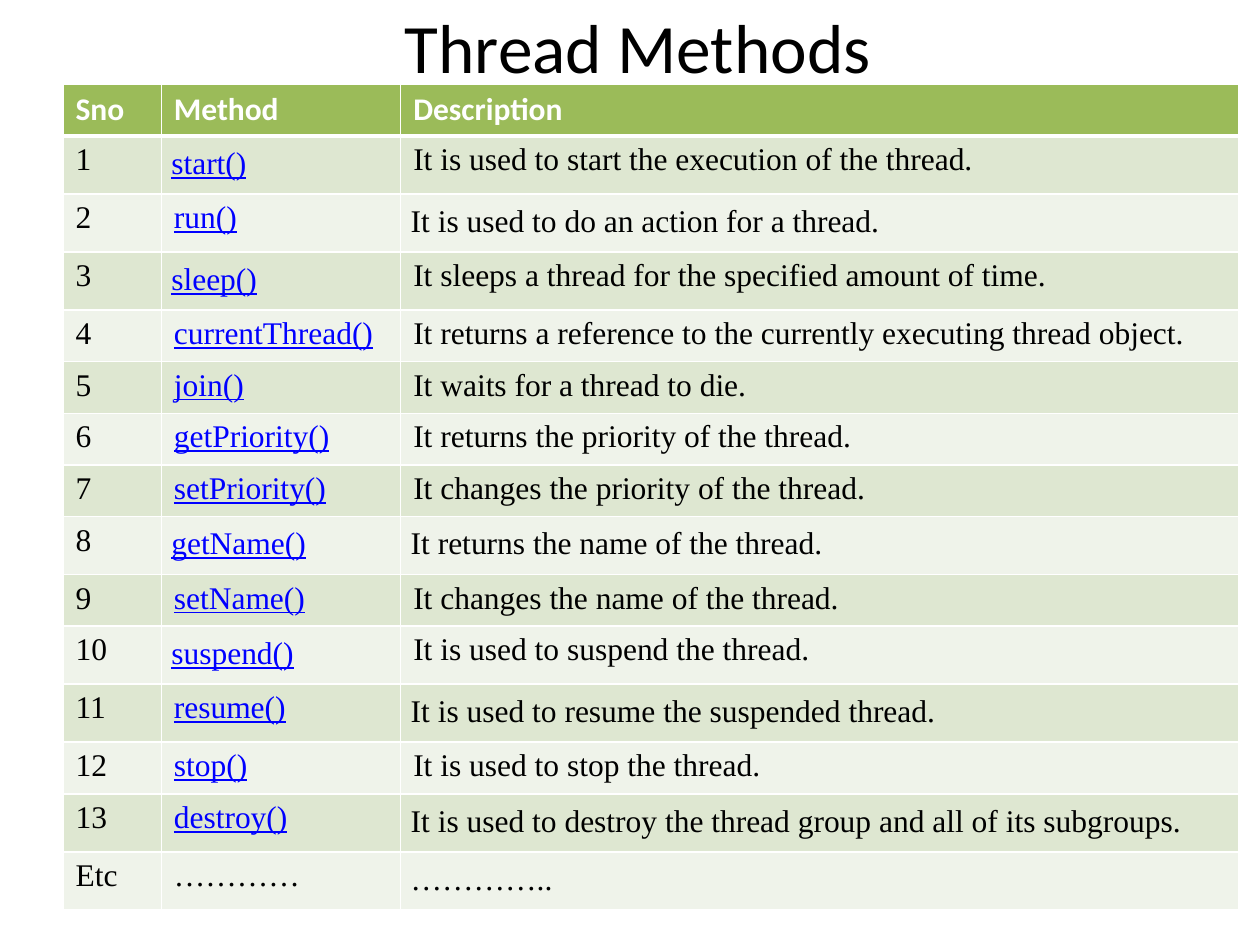
from lxml.etree import SubElement
from pptx import Presentation
from pptx.dml.color import RGBColor
from pptx.enum.text import MSO_ANCHOR, PP_ALIGN
from pptx.oxml.ns import qn
from pptx.util import Inches, Pt

WHITE = RGBColor(0xFF, 0xFF, 0xFF)
BLACK = RGBColor(0, 0, 0)
LINK_BLUE = RGBColor(0, 0, 0xFF)
HEADER_GREEN = RGBColor(0x9B, 0xBB, 0x59)
BANDS = (RGBColor(0xEF, 0xF3, 0xEA), RGBColor(0xDE, 0xE7, 0xD1))

HEADINGS = ("Sno", "Method", "Description")
# Number, method, description, and the columns with an even inset
METHODS = [
    ("1", "start()", "It is used to start the execution of the thread.", {1}),
    ("2", "run()", "It is used to do an action for a thread.", {2}),
    ("3", "sleep()", "It sleeps a thread for the specified amount of time.", {1}),
    ("4", "currentThread()", "It returns a reference to the currently executing thread object.", set()),
    ("5", "join()", "It waits for a thread to die.", set()),
    ("6", "getPriority()", "It returns the priority of the thread.", set()),
    ("7", "setPriority()", "It changes the priority of the thread.", set()),
    ("8", "getName()", "It returns the name of the thread.", {1, 2}),
    ("9", "setName()", "It changes the name of the thread.", set()),
    ("10", "suspend()", "It is used to suspend the thread.", {1}),
    ("11", "resume()", "It is used to resume the suspended thread.", {2}),
    ("12", "stop()", "It is used to stop the thread.", set()),
    ("13", "destroy()", "It is used to destroy the thread group and all of its subgroups.", {2}),
    ("Etc", "…………", "…………..", {2}),
]
COLUMN_WIDTHS = (0.78, 1.9, 6.65)
ROW_HEIGHT = 0.41
EVEN_INSET = Inches(0.08)


def add_run(paragraph, text, size, font_name, color, bold=False, underline=False):
    run = paragraph.add_run()
    run.text = text
    font = run.font
    font.size, font.name = Pt(size), font_name
    font.bold, font.underline = bold, underline
    font.color.rgb = color


def set_borders(cell, bottom_width):
    properties = cell._tc.get_or_add_tcPr()
    widths = {"a:lnL": 1, "a:lnR": 1, "a:lnT": 1, "a:lnB": bottom_width}
    for tag, width in widths.items():
        line = SubElement(properties, qn(tag), w=str(Pt(width)))
        fill = SubElement(line, qn("a:solidFill"))
        SubElement(fill, qn("a:srgbClr"), val=str(WHITE))


def fill_cell(cell, text, background, even_inset=False, bottom_width=1, **style):
    set_borders(cell, bottom_width)
    cell.fill.solid()
    cell.fill.fore_color.rgb = background
    if even_inset:
        cell.margin_left = cell.margin_right = EVEN_INSET
        cell.margin_top = cell.margin_bottom = EVEN_INSET
    add_run(cell.text_frame.paragraphs[0], text, 18, **style)


def add_title(slide, left, top, width, height):
    shape = slide.shapes.add_textbox(left, top, width, height)
    frame = shape.text_frame
    frame.word_wrap = True
    frame.vertical_anchor = MSO_ANCHOR.MIDDLE
    frame.margin_top, frame.margin_bottom = Inches(0.05), 0
    paragraph = frame.paragraphs[0]
    paragraph.alignment = PP_ALIGN.CENTER
    add_run(paragraph, " Thread Methods", 39.6, "Calibri", BLACK)


def add_method_table(slide, left, top):
    row_count = len(METHODS) + 1
    table = slide.shapes.add_table(
        row_count, len(HEADINGS), left, top,
        Inches(sum(COLUMN_WIDTHS)), Inches(ROW_HEIGHT * row_count)).table
    for column, width in zip(table.columns, COLUMN_WIDTHS):
        column.width = Inches(width)
    for row in table.rows:
        row.height = Inches(ROW_HEIGHT)

    # Header row
    for column, heading in enumerate(HEADINGS):
        fill_cell(table.cell(0, column), heading, HEADER_GREEN, bottom_width=3,
                  font_name="Calibri", color=WHITE, bold=True)

    # Banded body rows, with method names set as links
    for row, (*texts, inset_columns) in enumerate(METHODS, start=1):
        for column, text in enumerate(texts):
            is_method = text.endswith("()")
            fill_cell(table.cell(row, column), text, BANDS[row % 2],
                      even_inset=column in inset_columns,
                      font_name="Times New Roman",
                      color=LINK_BLUE if is_method else BLACK,
                      underline=is_method)


presentation = Presentation()
presentation.slide_width, presentation.slide_height = Inches(10), Inches(7.5)
slide = presentation.slides.add_slide(presentation.slide_layouts[6])
margin, title_height = Inches(0.5), Inches(0.67)
add_title(slide, margin, 0, presentation.slide_width - 2 * margin, title_height)
add_method_table(slide, margin, title_height)
presentation.save("out.pptx")
